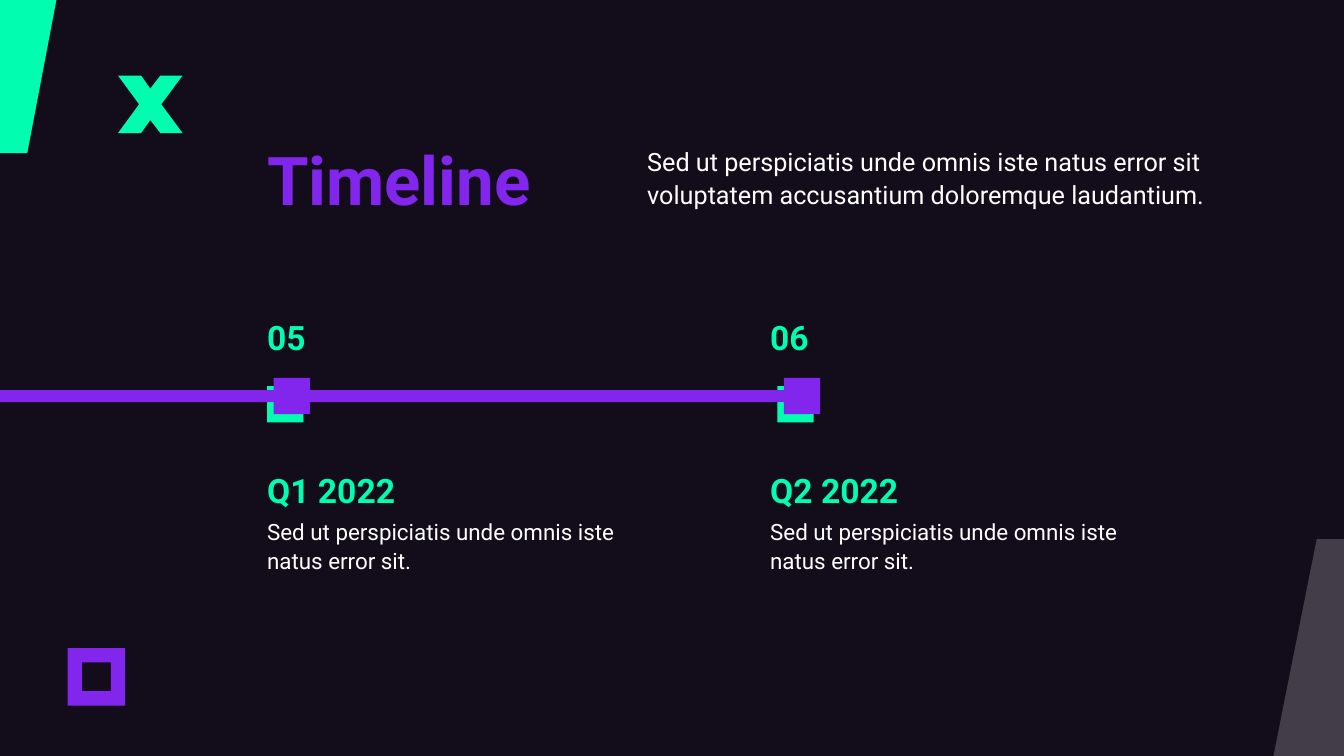
from lxml import etree
from pptx import Presentation
from pptx import util as u
from pptx.dml import color
from pptx.enum import shapes, text
from pptx.oxml import ns

COLORS = {"ink": "130D1B", "mint": "01FDB0", "violet": "8226EE", "white": "FFFFFF"}
RECT = shapes.MSO_SHAPE.RECTANGLE
FRAME = shapes.MSO_SHAPE.FRAME
TOP, BOTTOM = text.MSO_ANCHOR.TOP, text.MSO_ANCHOR.BOTTOM


class Deck:
    font = "Roboto"

    def __init__(self, width, height):
        self.prs = Presentation()
        self.prs.slide_width, self.prs.slide_height = u.Inches(width), u.Inches(height)
        self.col, self.row = self.prs.slide_width / 100, self.prs.slide_height / 100

    def add_slide(self, background):
        self.s = self.prs.slides.add_slide(self.prs.slide_layouts[6])
        self.paint(self.s.background.fill, background)

    def rgb(self, name):
        return color.RGBColor.from_string(COLORS[name])

    def paint(self, fill, name):
        fill.solid()
        fill.fore_color.rgb = self.rgb(name)

    def at(self, x, y):
        return round(x * self.col), round(y * self.row)

    def finish(self, sp, name):
        self.paint(sp.fill, name)
        sp.line.fill.background()
        sp.shadow.inherit = False
        return sp

    def shape(self, kind, x, y, w, h, name):
        sp = self.s.shapes.add_shape(kind, *self.at(x, y), *self.at(w, h))
        return self.finish(sp, name)

    def outline(self, points, name, alpha=None):
        start, *rest = [self.at(x, y) for x, y in points]
        builder = self.s.shapes.build_freeform(*start)
        builder.add_line_segments(rest, close=True)
        sp = self.finish(builder.convert_to_shape(), name)
        if alpha:
            clr = sp.element.spPr.find(".//" + ns.qn("a:srgbClr"))
            etree.SubElement(clr, ns.qn("a:alpha"), val=str(alpha * 1000))

    def label(self, words, x, y, w, h, size, name, bold=False, anchor=BOTTOM, spacing=1.1):
        tf = self.s.shapes.add_textbox(*self.at(x, y), *self.at(w, h)).text_frame
        tf.margin_left = tf.margin_right = tf.margin_top = tf.margin_bottom = 0
        tf.word_wrap, tf.vertical_anchor = True, anchor
        p = tf.paragraphs[0]
        p.text, p.line_spacing = words, spacing
        p.font.name, p.font.size, p.font.bold = self.font, u.Pt(size), bold
        p.font.color.rgb = self.rgb(name)


def main():
    deck = Deck(13.33, 7.5)
    deck.add_slide("ink")

    left = 19.88
    body = "Sed ut perspiciatis unde omnis iste \vnatus error sit."
    milestones = [
        (left, left, "05", "Q1 2022"),
        (57.31, 57.84, "06", "Q2 2022"),
    ]

    for _, marker, _, _ in milestones:
        deck.shape(RECT, marker, 51.07, 2.7, 4.8, "mint")

    deck.outline([(0, 0), (4.2, 0), (2.03, 20.27), (0, 20.27)], "mint")
    deck.outline([(97.97, 71.33), (100, 71.33), (100, 100), (94.75, 100)], "white", 20)
    deck.shape(FRAME, 5.03, 85.73, 4.28, 7.6, "violet").adjustments[0] = 0.25
    deck.outline(
        [(8.78, 10), (10.5, 10), (11.18, 11.73), (11.93, 10), (13.58, 10), (12, 13.8),
         (13.58, 17.6), (11.93, 17.6), (11.18, 15.87), (10.5, 17.6), (8.78, 17.6), (10.35, 13.8)],
        "mint")

    for _, marker, _, _ in milestones:
        deck.shape(RECT, marker + 0.49, 50, 2.7, 4.8, "violet")
    deck.shape(RECT, 0, 51.6, 59.56, 1.6, "violet")

    deck.label("Timeline", left, 0, 28.13, 29.07, 48, "violet", bold=True, spacing=0.9)
    deck.label("Sed ut perspiciatis unde omnis iste natus error sit \v"
               "voluptatem accusantium doloremque laudantium.",
               48.16, 0, 43.21, 27.73, 18, "white")

    for x, _, number, quarter in milestones:
        deck.label(number, x, 36.8, 8.4, 10.4, 24, "mint", bold=True)
        deck.label(quarter, x, 57.07, 34.06, 10.4, 24, "mint", bold=True)
        deck.label(body, x, 68.13, 34.06, 15.6, 16, "white", anchor=TOP)

    deck.prs.save("out.pptx")


if __name__ == "__main__":
    main()
